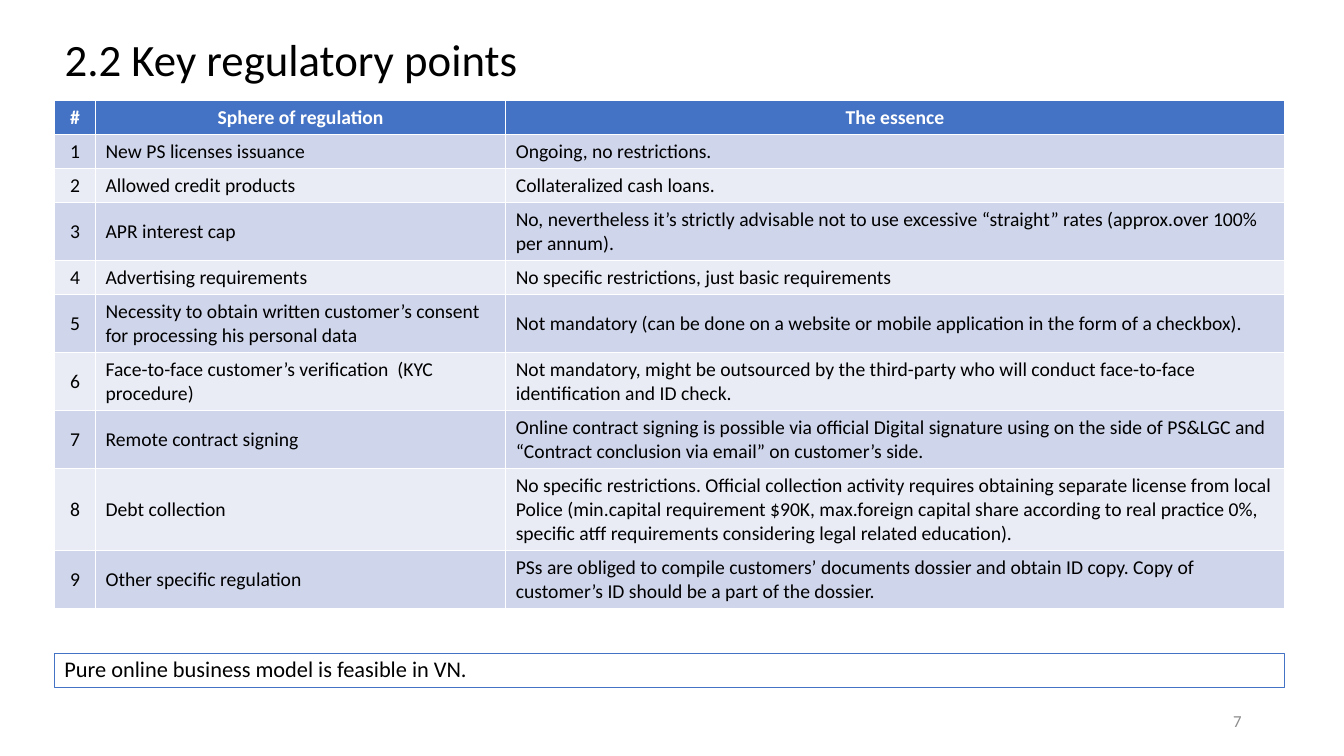
"""Build the slide with the table of key regulatory points."""
from pptx import Presentation
from pptx.dml.color import RGBColor
from pptx.enum.shapes import MSO_SHAPE
from pptx.enum.text import MSO_ANCHOR, MSO_AUTO_SIZE, PP_ALIGN
from pptx.util import Pt

RECTANGLE = MSO_SHAPE.RECTANGLE
TOP, MIDDLE = MSO_ANCHOR.TOP, MSO_ANCHOR.MIDDLE
LEFT, CENTER, RIGHT = PP_ALIGN.LEFT, PP_ALIGN.CENTER, PP_ALIGN.RIGHT
NO_AUTOFIT = MSO_AUTO_SIZE.NONE
TITLE_ONLY = 5

FONT = "Calibri"
BLACK, WHITE, GREY, BLUE = "000000", "FFFFFF", "8C8C8C", "4472C4"
BANDS = ("CFD5EA", "E9EBF5")

MARGIN_LEFT = 39
CONTENT_WIDTH = 878.5
COLUMN_WIDTHS = (29.25, 293, 556.25)
LINE_HEIGHT = 17.1
CELL_PADDING = 7.2

HEADINGS = ("#", "Sphere of regulation", "The essence")
REGULATIONS = (
    ("New PS licenses issuance", "Ongoing, no restrictions.", 1),
    ("Allowed credit products", "Collateralized cash loans.", 1),
    ("APR interest cap",
     "No, nevertheless it’s strictly advisable not to use excessive “straight” "
     "rates (approx.over 100% per annum).", 2),
    ("Advertising requirements",
     "No specific restrictions, just basic requirements", 1),
    ("Necessity to obtain written customer’s consent for processing his "
     "personal data",
     "Not mandatory (can be done on a website or mobile application in the "
     "form of a checkbox).", 2),
    ("Face-to-face customer’s verification  (KYC procedure)",
     "Not mandatory, might be outsourced by the third-party who will conduct "
     "face-to-face identification and ID check.", 2),
    ("Remote contract signing",
     "Online contract signing is possible via official Digital signature using "
     "on the side of PS&LGC and “Contract conclusion via email” on customer’s "
     "side.", 2),
    ("Debt collection",
     "No specific restrictions. Official collection activity requires obtaining "
     "separate license from local Police (min.capital requirement $90K, "
     "max.foreign capital share according to real practice 0%, specific atff "
     "requirements considering legal related education).", 3),
    ("Other specific regulation",
     "PSs are obliged to compile customers’ documents dossier and obtain ID "
     "copy. Copy of customer’s ID should be a part of the dossier.", 2),
)


def color(hex_string):
    """Return the colour for a hex string."""
    return RGBColor.from_string(hex_string)


def write(text_frame, text, size, hex_color=BLACK, alignment=LEFT, bold=False):
    """Set the text of a frame, format it and return its paragraph."""
    text_frame.text = text
    text_frame.word_wrap = True
    paragraph = text_frame.paragraphs[0]
    paragraph.alignment = alignment
    font = paragraph.runs[0].font
    font.name = FONT
    font.size = Pt(size)
    font.bold = bold
    font.color.rgb = color(hex_color)
    return paragraph


def add_title(slide, text):
    """Place and format the title placeholder."""
    title = slide.shapes.title
    title.left, title.top = Pt(MARGIN_LEFT), Pt(16)
    title.width, title.height = Pt(702), Pt(56)
    paragraph = write(title.text_frame, text, 32)
    paragraph.line_spacing = 0.9
    title.text_frame.vertical_anchor = MIDDLE
    title.text_frame.auto_size = NO_AUTOFIT


def fill_row(table, row_index, texts, line_count, fill, text_color, header):
    """Fill one table row and set its height from its line count."""
    table.rows[row_index].height = Pt(CELL_PADDING + LINE_HEIGHT * line_count)
    for column_index, text in enumerate(texts):
        cell = table.cell(row_index, column_index)
        cell.fill.solid()
        cell.fill.fore_color.rgb = color(fill)
        cell.vertical_anchor = MIDDLE
        alignment = CENTER if header or column_index == 0 else LEFT
        write(cell.text_frame, text, 14, text_color, alignment, header)


def add_regulation_table(slide):
    """Add the numbered table of regulations."""
    line_total = 1 + sum(lines for _, _, lines in REGULATIONS)
    row_count = len(REGULATIONS) + 1
    height = row_count * CELL_PADDING + line_total * LINE_HEIGHT
    table = slide.shapes.add_table(
        row_count, len(HEADINGS), Pt(MARGIN_LEFT), Pt(72),
        Pt(CONTENT_WIDTH), Pt(height)).table
    for column, width in zip(table.columns, COLUMN_WIDTHS):
        column.width = Pt(width)
    fill_row(table, 0, HEADINGS, 1, BLUE, WHITE, True)
    for number, (sphere, essence, lines) in enumerate(REGULATIONS, 1):
        band = BANDS[(number - 1) % len(BANDS)]
        fill_row(table, number, (str(number), sphere, essence), lines,
                 band, BLACK, False)


def add_conclusion(slide, text):
    """Add the outlined conclusion box below the table."""
    box = slide.shapes.add_shape(
        RECTANGLE, Pt(MARGIN_LEFT), Pt(466.75), Pt(CONTENT_WIDTH), Pt(24.5))
    box.shadow.inherit = False
    box.fill.background()
    box.line.color.rgb = color(BLUE)
    box.line.width = Pt(0.75)
    paragraph = write(box.text_frame, text, 16)
    paragraph.line_spacing = 0.9
    paragraph.space_before = Pt(10)
    box.text_frame.vertical_anchor = TOP


def add_page_number(slide, text):
    """Add the page number at the lower right."""
    box = slide.shapes.add_textbox(Pt(678), Pt(500.5), Pt(216), Pt(28.75))
    write(box.text_frame, text, 12, GREY, RIGHT)
    box.text_frame.vertical_anchor = MIDDLE


def main():
    """Build and save the presentation."""
    presentation = Presentation()
    presentation.slide_width = Pt(960)
    presentation.slide_height = Pt(540)
    slide = presentation.slides.add_slide(presentation.slide_layouts[TITLE_ONLY])
    add_title(slide, "2.2 Key regulatory points")
    add_regulation_table(slide)
    add_conclusion(slide, "Pure online business model is feasible in VN.")
    add_page_number(slide, "7")
    presentation.save("out.pptx")


if __name__ == "__main__":
    main()
